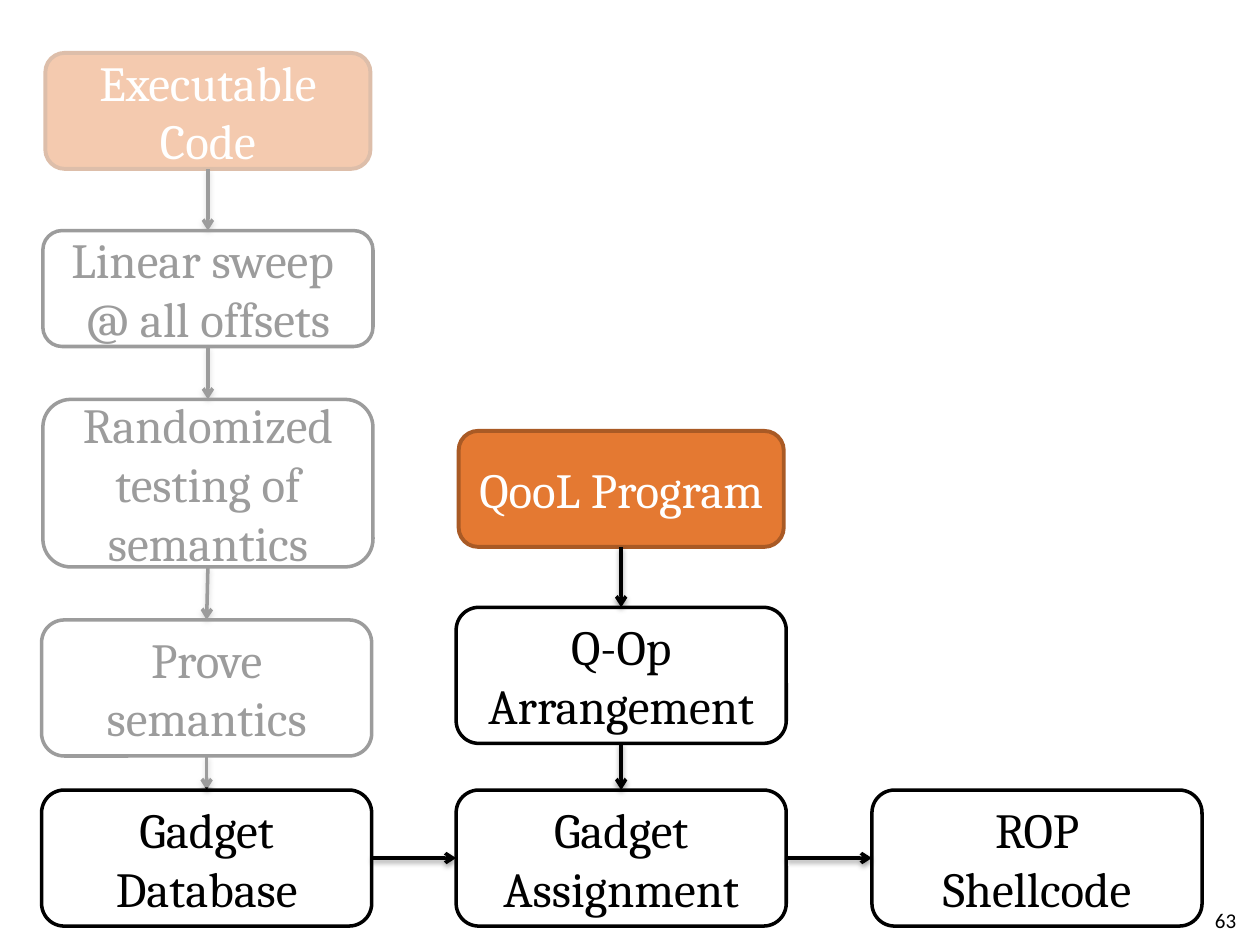
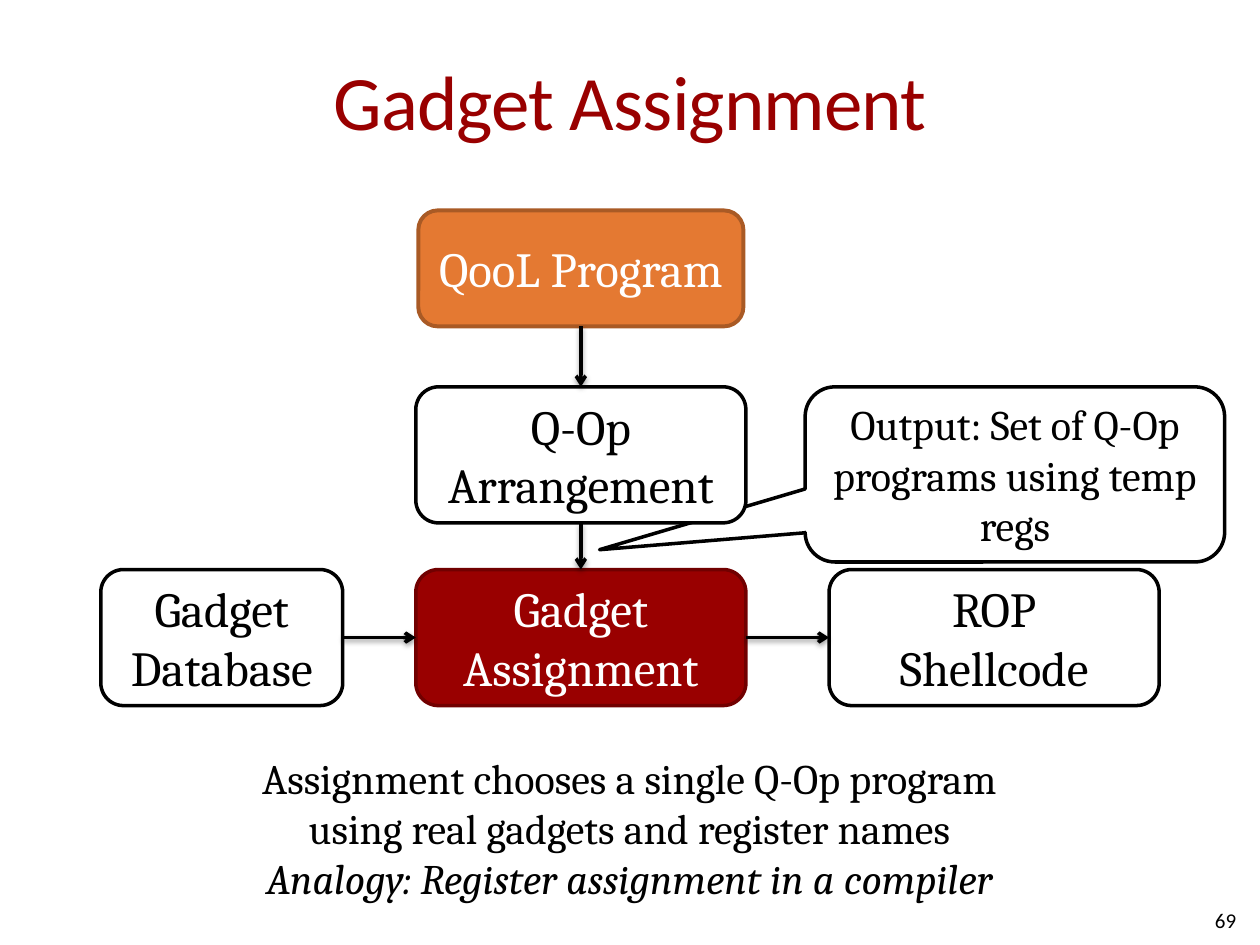
from dataclasses import dataclass
from itertools import pairwise

from lxml.etree import SubElement
from pptx import Presentation
from pptx.dml.color import RGBColor
from pptx.enum.shapes import MSO_CONNECTOR as Wire, MSO_SHAPE as Form
from pptx.enum.text import MSO_ANCHOR as Anchor, MSO_AUTO_SIZE as Fit, PP_ALIGN as Align
from pptx.oxml.ns import qn
from pptx.shapes.autoshape import Shape
from pptx.shapes.connector import Connector
from pptx.slide import Slide
from pptx.text.text import _Paragraph as Para
from pptx.util import Inches, Pt

TOP, LEFT, BOTTOM, RIGHT = range(4)


@dataclass(frozen=True)
class Theme:
    black: str = "000000"
    white: str = "FFFFFF"
    orange: str = "E47932"
    rust: str = "A95A25"
    red: str = "990000"
    wine: str = "710000"
    head: str = "Calibri"
    body: str = "Cambria"
    title: int = 44
    step: int = 28
    note: int = 24
    page: int = 12
    wire: float = 2


THEME = Theme()


@dataclass(frozen=True)
class Style:
    fill: str
    line: str
    ink: str
    width: float = THEME.wire


PLAIN = Style(THEME.white, THEME.black, THEME.black)
INPUT = Style(THEME.orange, THEME.rust, THEME.white, 2.25)
FOCUS = Style(THEME.red, THEME.wine, THEME.white)


@dataclass(frozen=True)
class Box:
    text: str
    left: float
    top: float
    width: float = 2.62
    height: float = 1.08
    style: Style = PLAIN
    size: int = THEME.step
    form: Form = Form.ROUNDED_RECTANGLE


def rgb(code: str) -> RGBColor:
    return RGBColor.from_string(code)


def write(para: Para, text: str, size: int, ink: str = THEME.black,
          face: str = THEME.body, align: Align = Align.CENTER) -> None:
    para.text = text
    para.alignment = align
    font = para.font
    font.name, font.size = face, Pt(size)
    font.color.rgb = rgb(ink)


def put(shapes, box: Box) -> Shape:
    """Draw a box with its centred text."""
    shape = shapes.add_shape(box.form, Inches(box.left), Inches(box.top),
                             Inches(box.width), Inches(box.height))
    shape.shadow.inherit = False
    shape.fill.solid()
    shape.fill.fore_color.rgb = rgb(box.style.fill)
    shape.line.color.rgb = rgb(box.style.line)
    shape.line.width = Pt(box.style.width)
    frame = shape.text_frame
    frame.word_wrap = True
    frame.vertical_anchor = Anchor.MIDDLE
    write(frame.paragraphs[0], box.text, box.size, box.style.ink)
    return shape


def link(shapes, start: Shape, end: Shape, out: int = BOTTOM, into: int = TOP) -> Connector:
    """Join two boxes with an arrow that has a soft shadow."""
    arrow = shapes.add_connector(Wire.STRAIGHT, 0, 0, 0, 0)
    arrow.begin_connect(start, out)
    arrow.end_connect(end, into)
    arrow.line.color.rgb = rgb(THEME.black)
    arrow.line.width = Pt(THEME.wire)
    props = arrow._element.spPr
    SubElement(props.find(qn("a:ln")), qn("a:tailEnd"), type="arrow")
    shade = SubElement(SubElement(props, qn("a:effectLst")), qn("a:outerShdw"),
                       blurRad=str(Pt(3.1)), dist=str(Pt(1.6)), dir="5400000", rotWithShape="0")
    tint = SubElement(shade, qn("a:srgbClr"), val=THEME.black)
    SubElement(tint, qn("a:alpha"), val="38000")
    return arrow


def chain(shapes, steps: list[Box]) -> list[Shape]:
    """Draw boxes from top to bottom, each with an arrow to the next."""
    drawn = [put(shapes, step) for step in steps]
    for upper, lower in pairwise(drawn):
        link(shapes, upper, lower)
    return drawn


def flow(shapes, data: Shape, left: float, top: float, code: float, goal: Style) -> None:
    """Draw the program column, fed by the database and ending in shellcode."""
    base = top + 2.85
    *_, assign = chain(shapes, [
        Box("QooL Program", left + 0.02, top, 2.58, 0.92, INPUT),
        Box("Q-Op\nArrangement", left, top + 1.4),
        Box("Gadget\nAssignment", left, base, style=goal),
    ])
    shell = put(shapes, Box("ROP\nShellcode", code, base))
    for start, end in pairwise([data, assign, shell]):
        link(shapes, start, end, RIGHT, LEFT)


def veil(slide: Slide) -> None:
    """Fade the finished steps with a half-clear sheet."""
    sheet = slide.shapes.add_shape(Form.RECTANGLE, Inches(0.08), Inches(0.07),
                                   Inches(3.08), Inches(6.18))
    sheet.shadow.inherit = False
    sheet.fill.solid()
    sheet.fill.fore_color.rgb = rgb(THEME.white)
    sheet.line.fill.background()
    tint = sheet._element.spPr.find(qn("a:solidFill")).find(qn("a:srgbClr"))
    SubElement(tint, qn("a:alpha"), val="61000")


def number(slide: Slide, page: int) -> None:
    frame = slide.shapes.add_textbox(Inches(7.58), Inches(7.1),
                                     Inches(2.33), Inches(0.4)).text_frame
    frame.word_wrap = True
    frame.vertical_anchor = Anchor.MIDDLE
    write(frame.paragraphs[0], str(page), THEME.page, face=THEME.head, align=Align.RIGHT)


def head(slide: Slide, text: str) -> None:
    title = slide.shapes.title
    title.left, title.top = Inches(0.5), Inches(0.17)
    title.width, title.height = Inches(9), Inches(1.25)
    frame = title.text_frame
    frame.margin_left = frame.margin_right = 0
    frame.vertical_anchor = Anchor.MIDDLE
    para = frame.paragraphs[0]
    write(para, text, THEME.title, THEME.red, THEME.head)
    para.runs[0]._r.get_or_add_rPr().set("spc", "-50")


def caption(slide: Slide, lines: list[str]) -> None:
    """Write centred lines, the last one in italics."""
    frame = slide.shapes.add_textbox(Inches(1.58), Inches(5.92),
                                     Inches(6.83), Inches(1.31)).text_frame
    frame.word_wrap = True
    frame.auto_size = Fit.SHAPE_TO_FIT_TEXT
    for spot, line in enumerate(lines):
        para = frame.add_paragraph() if spot else frame.paragraphs[0]
        write(para, line, THEME.note)
    para.font.italic = True


def whole(slide: Slide) -> None:
    """Show the full pipeline with the gadget search faded."""
    number(slide, 63)
    *_, data = chain(slide.shapes, [
        Box("Executable Code", 0.36, 0.42, 2.58, 0.92, INPUT),
        Box("Linear sweep \n@ all offsets", 0.34, 1.83, height=0.92),
        Box("Randomized testing of semantics", 0.34, 3.17, height=1.33),
        Box("Prove semantics", 0.33, 4.92),
        Box("Gadget\nDatabase", 0.33, 6.27),
    ])
    veil(slide)
    flow(slide.shapes, data, 3.62, 3.42, 6.92, PLAIN)


def detail(slide: Slide) -> None:
    """Show the assignment step with its input and output."""
    head(slide, "Gadget Assignment")
    number(slide, 69)
    bubble = put(slide.shapes, Box("Output: Set of Q-Op programs using temp regs",
                                   6.39, 3.07, 3.33, 1.39, size=THEME.note,
                                   form=Form.ROUNDED_RECTANGULAR_CALLOUT))
    for spot, value in enumerate((-0.99, 0.43, 0.17)):
        bubble.adjustments[spot] = value
    group = slide.shapes.add_group_shape().shapes
    data = put(group, Box("Gadget\nDatabase", 0.8, 4.52, 1.92))
    flow(group, data, 3.3, 1.67, 6.58, FOCUS)
    caption(slide, [
        "Assignment chooses a single Q-Op program using real gadgets and register names",
        "Analogy: Register assignment in a compiler",
    ])


def main() -> None:
    deck = Presentation()
    deck.slide_width, deck.slide_height = Inches(10), Inches(7.5)
    only, blank = deck.slide_layouts[5], deck.slide_layouts[6]
    whole(deck.slides.add_slide(blank))
    detail(deck.slides.add_slide(only))
    deck.save("out.pptx")


if __name__ == "__main__":
    main()
